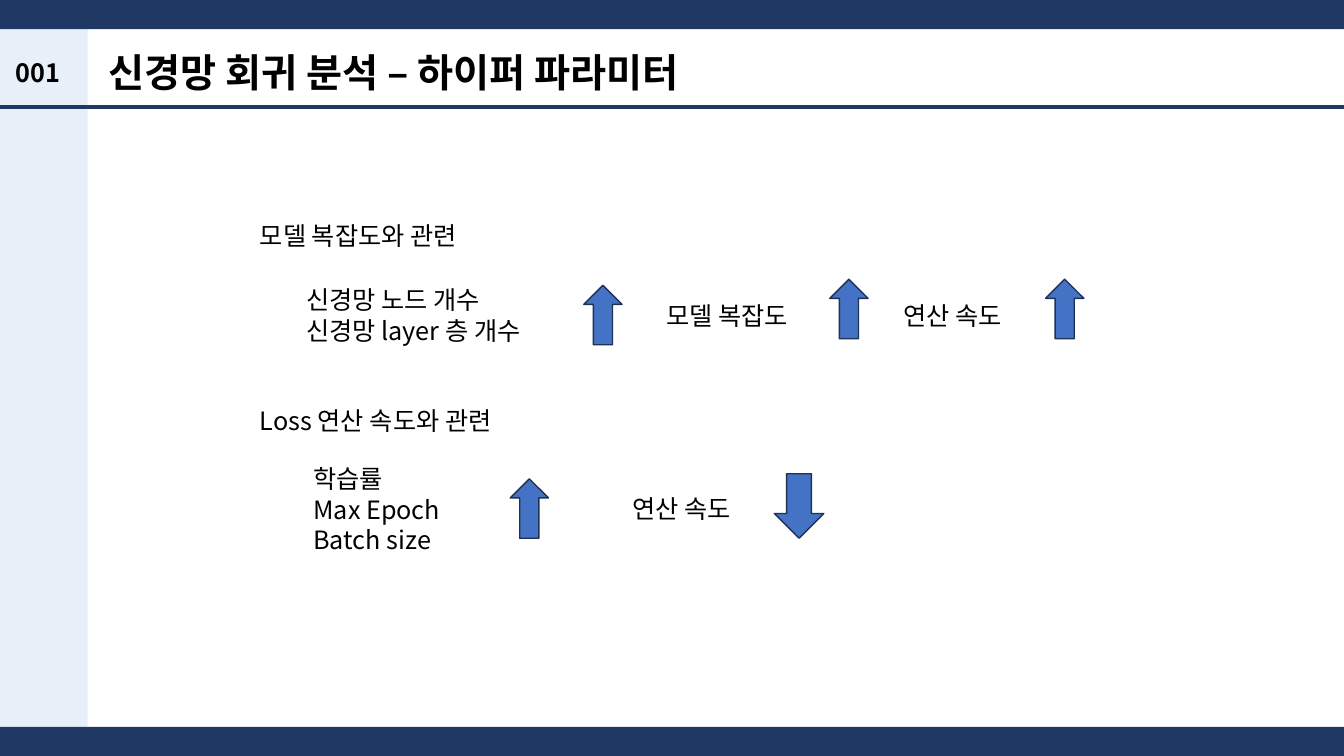
from collections import namedtuple
from dataclasses import dataclass

from pptx import Presentation
from pptx import util as u
from pptx.dml.color import RGBColor
from pptx.enum import shapes, text
from pptx.oxml import ns
from lxml import etree

Box = namedtuple("Box", "left top width height")
UP = shapes.MSO_SHAPE.UP_ARROW
DOWN = shapes.MSO_SHAPE.DOWN_ARROW


@dataclass(frozen=True)
class Theme:
    font: str = "Noto Sans CJK KR"
    ink: str = "000000"
    navy: str = "203864"
    sidebar: str = "DEEBF7"
    sidebar_alpha: int = 72
    arrow: str = "4472C4"
    arrow_edge: str = "1E3256"
    body_size: int = 18
    title_size: int = 28
    line_factor: float = 1.22


THEME = Theme()


def inches(box):
    return [u.Inches(length) for length in box]


def add_filled(slide, kind, box, fill, edge=None, alpha=None):
    part = slide.shapes.add_shape(kind, *inches(box))
    part.shadow.inherit = False
    part.fill.solid()
    part.fill.fore_color.rgb = RGBColor.from_string(fill)
    if edge:
        part.line.color.rgb = RGBColor.from_string(edge)
        part.line.width = u.Pt(1)
    else:
        part.line.fill.background()
    if alpha:
        color = part.fill._xPr.find(".//" + ns.qn("a:srgbClr"))
        etree.SubElement(color, ns.qn("a:alpha"), val=str(alpha * 1000))


def add_text(slide, box, lines, size=THEME.body_size, bold=False, align=None):
    frame = slide.shapes.add_textbox(*inches(box)).text_frame
    frame.word_wrap = True
    frame.auto_size = text.MSO_AUTO_SIZE.SHAPE_TO_FIT_TEXT
    for index, line in enumerate(lines):
        paragraph = frame.paragraphs[0] if index == 0 else frame.add_paragraph()
        paragraph.alignment = align
        paragraph.line_spacing = u.Pt(round(size * THEME.line_factor))
        run = paragraph.add_run()
        run.text = line
        run.font.size = u.Pt(size)
        run.font.bold = bold
        run.font.name = THEME.font
        run.font.color.rgb = RGBColor.from_string(THEME.ink)
        # East Asian typeface for Hangul
        etree.SubElement(run.font._element, ns.qn("a:ea"), typeface=THEME.font)


def add_frame(slide, box):
    """Sidebar with a navy band along the top and bottom edges."""
    band = 0.29
    add_filled(slide, shapes.MSO_SHAPE.RECTANGLE, box._replace(width=0.87),
               THEME.sidebar, alpha=THEME.sidebar_alpha)
    for top in (box.top, box.top + box.height - band):
        add_filled(slide, shapes.MSO_SHAPE.RECTANGLE,
                   box._replace(top=top, height=band), THEME.navy)


def add_header(slide, box, number, title):
    """Page number and title above a full-width rule."""
    bottom = box.top + box.height
    rule = slide.shapes.add_connector(
        shapes.MSO_CONNECTOR.STRAIGHT,
        *inches((box.left, bottom, box.left + box.width, bottom)))
    rule.line.color.rgb = RGBColor.from_string(THEME.navy)
    rule.line.width = u.Pt(3)
    etree.SubElement(rule._element.spPr, ns.qn("a:effectLst"))
    add_text(slide, Box(box.left + 0.06, box.top + 0.22, 0.74, 0.4), [number],
             bold=True, align=text.PP_ALIGN.JUSTIFY)
    add_text(slide, Box(box.left + 0.98, box.top + 0.13, 10.4, 0.57), [title],
             size=THEME.title_size, bold=True)


def add_section(slide, box, heading, factors, effects, arrows):
    """Heading, its hyperparameters, and the effects they have."""
    add_text(slide, box, [heading])
    for left, top, width, lines in [factors, *effects]:
        add_text(slide, Box(box.left + left, box.top + top, width,
                            0.1 + 0.3 * len(lines)), lines)
    for kind, left, top in arrows:
        width, height = (0.38, 0.59) if kind == UP else (0.49, 0.64)
        add_filled(slide, kind,
                   Box(box.left + left, box.top + top, width, height),
                   THEME.arrow, edge=THEME.arrow_edge)


def main():
    deck = Presentation()
    deck.slide_width, deck.slide_height = u.Inches(13.33), u.Inches(7.5)
    slide = deck.slides.add_slide(deck.slide_layouts[6])

    add_frame(slide, Box(0, 0, 13.33, 7.5))
    add_header(slide, Box(0, 0.29, 13.33, 0.77), "001",
               "신경망 회귀 분석 – 하이퍼 파라미터")

    # Model complexity
    add_section(
        slide, Box(2.48, 2.13, 3.67, 0.4), "모델 복잡도와 관련",
        factors=(0.46, 0.64, 5.7, ["신경망 노드 개수", "신경망 layer 층 개수"]),
        effects=[(4.03, 0.79, 2.36, ["모델 복잡도"]),
                 (6.38, 0.79, 2.12, ["연산 속도"])],
        arrows=[(UP, 3.31, 0.7), (UP, 5.75, 0.64), (UP, 7.89, 0.64)])

    # Loss computation speed
    add_section(
        slide, Box(2.48, 3.97, 3.07, 0.4), "Loss 연산 속도와 관련",
        factors=(0.53, 0.57, 3.21, ["학습률", "Max Epoch", "Batch size"]),
        effects=[(3.69, 0.87, 2.12, ["연산 속도"])],
        arrows=[(UP, 2.58, 0.78), (DOWN, 5.2, 0.73)])

    deck.save("out.pptx")


if __name__ == "__main__":
    main()
